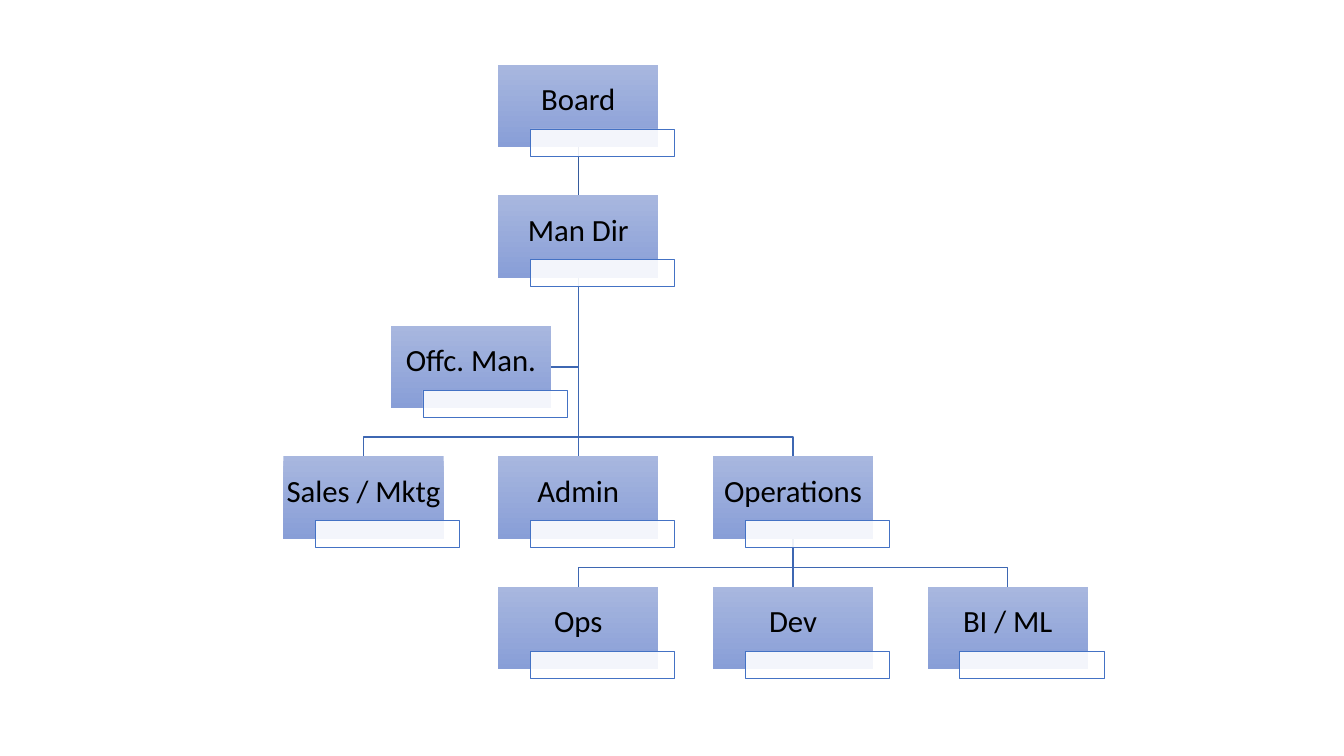
from lxml import etree
from pptx import Presentation
from pptx.dml.color import RGBColor
from pptx.enum import shapes, text
from pptx.oxml.ns import qn
from pptx.util import Inches, Pt

BOX_W, BOX_H = 1.59, 0.82
COL_0, COL_STEP = 2.81, 2.13
ROW_0, ROW_STEP = 0.64, 1.295
BAR_GAP = 0.19  # from a horizontal connector down to the boxes below


def color(hex_code):
    return RGBColor.from_string(hex_code)


prs = Presentation()
prs.slide_width, prs.slide_height = Inches(13.33), Inches(7.5)
s = prs.slides.add_slide(prs.slide_layouts[6])
tree = s.shapes

# Boxes: name, column, row
positions = [
    ("Board", 1, 0), ("Man Dir", 1, 1),
    ("Sales / Mktg", 0, 3), ("Admin", 1, 3), ("Operations", 2, 3),
    ("Ops", 1, 4), ("Dev", 2, 4), ("BI / ML", 3, 4),
    ("Offc. Man.", 0.5, 2),
]
boxes = {}
for name, col, row in positions:
    x, y = COL_0 + col * COL_STEP, ROW_0 + row * ROW_STEP
    box = tree.add_shape(shapes.MSO_SHAPE.RECTANGLE, Inches(x), Inches(y),
                         Inches(BOX_W), Inches(BOX_H))
    box.shadow.inherit = False
    box.line.fill.background()
    box.fill.gradient()
    box.fill.gradient_angle = 270
    for stop, shade in zip(box.fill.gradient_stops, ("A8B7DF", "889ED7")):
        stop.color.rgb = color(shade)
    tf = box.text_frame
    tf.text = name
    tf.word_wrap = False
    tf.vertical_anchor = text.MSO_ANCHOR.MIDDLE
    tf.margin_left = tf.margin_right = tf.margin_top = Inches(0.02)
    tf.margin_bottom = Inches(0.12)
    p = tf.paragraphs[0]
    p.alignment = text.PP_ALIGN.CENTER
    p.line_spacing = 0.9
    font = p.runs[0].font
    font.name, font.size = "Calibri", Pt(22)
    font.color.rgb = color("000000")
    boxes[name] = box

    # Empty title strip over the lower edge
    strip = tree.add_shape(shapes.MSO_SHAPE.RECTANGLE, Inches(x + 0.32), Inches(y + 0.64),
                           Inches(1.43), Inches(0.27))
    strip.shadow.inherit = False
    strip.fill.solid()
    strip.fill.fore_color.rgb = color("FFFFFF")
    rgb = strip.fill._xPr.find(".//" + qn("a:srgbClr"))
    etree.SubElement(rgb, qn("a:alpha"), val="90000")
    strip.line.color.rgb = color("4472C4")
    strip.line.width = Pt(0.5)

# Straight links, bottom to top
links = []
for parent, child, shade in [("Board", "Man Dir", "365B9D"), ("Man Dir", "Admin", "3E67B2"),
                             ("Operations", "Dev", "3E67B2")]:
    link = tree.add_connector(shapes.MSO_CONNECTOR.STRAIGHT, 0, 0, 0, 0)
    link.begin_connect(boxes[parent], 2)
    link.end_connect(boxes[child], 0)
    etree.SubElement(link._element.spPr, qn("a:effectLst"))
    links.append((link, shade))

# Bent links
for parent, child in [("Man Dir", "Offc. Man."), ("Man Dir", "Sales / Mktg"),
                      ("Man Dir", "Operations"), ("Operations", "Ops"),
                      ("Operations", "BI / ML")]:
    a, b = boxes[parent], boxes[child]
    x1, y1 = a.left + a.width // 2, a.top + a.height
    if child == "Offc. Man.":
        side_y = b.top + b.height // 2
        points = [(x1, side_y), (b.left + b.width, side_y)]
    else:
        x2, bar_y = b.left + b.width // 2, b.top - Inches(BAR_GAP)
        points = [(x1, bar_y), (x2, bar_y), (x2, b.top)]
    builder = tree.build_freeform(x1, y1)
    builder.add_line_segments(points, close=False)
    link = builder.convert_to_shape()
    link.shadow.inherit = False
    link.fill.background()
    links.append((link, "3E67B2"))

# Style the links and send them behind the boxes
for link, shade in links:
    link.line.color.rgb = color(shade)
    link.line.width = Pt(1)
    tree._spTree.insert(2, link._element)

prs.save("out.pptx")
